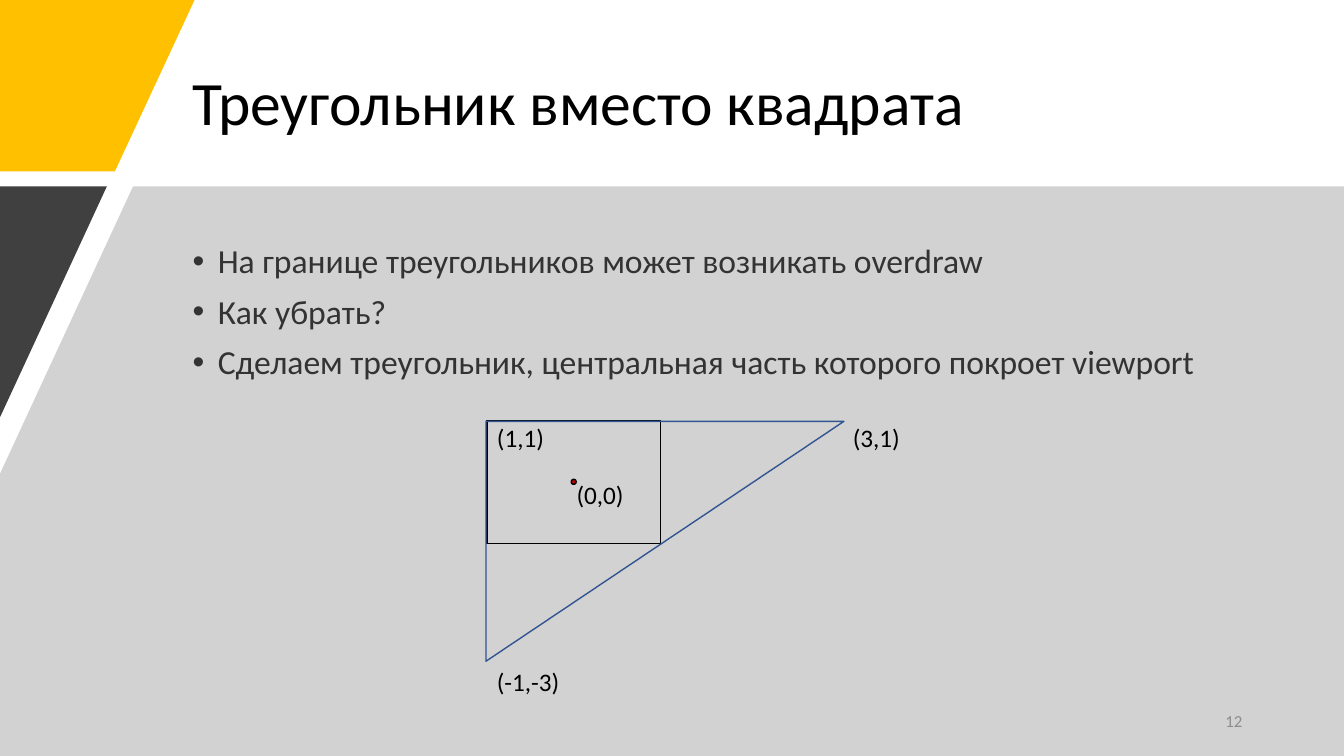
import lxml.etree
import pptx
import pptx.dml.color
import pptx.enum.shapes
import pptx.enum.text
import pptx.oxml.ns
import pptx.util

Inches = pptx.util.Inches
Pt = pptx.util.Pt
SHAPES = pptx.enum.shapes.MSO_SHAPE
ALIGN = pptx.enum.text.PP_ALIGN
ANCHOR = pptx.enum.text.MSO_ANCHOR
AUTO_SIZE = pptx.enum.text.MSO_AUTO_SIZE

WIDTH, HEIGHT = 13.33, 7.5
BAND_TOP = 1.85


def color(hex_text):
    return pptx.dml.color.RGBColor.from_string(hex_text)


def add_element(parent, tag, **attributes):
    element = lxml.etree.SubElement(parent, pptx.oxml.ns.qn(tag))
    for name, value in attributes.items():
        element.set(name, str(value))
    return element


def paint(shape, fill=None, line=None, alpha=None):
    shape.shadow.inherit = False
    if fill:
        shape.fill.solid()
        shape.fill.fore_color.rgb = color(fill)
        if alpha:
            fill_color = shape.fill._xPr.find(".//" + pptx.oxml.ns.qn("a:srgbClr"))
            add_element(fill_color, "a:alpha", val=alpha * 1000)
    else:
        shape.fill.background()
    if line:
        shape.line.color.rgb = color(line)
        shape.line.width = Pt(1)
    else:
        shape.line.fill.background()


def place(shape, box):
    shape.left, shape.top, shape.width, shape.height = map(Inches, box)


def write(shape, *lines, size=18, text_color="000000", align=ALIGN.LEFT,
          anchor=ANCHOR.TOP, wrap=True, line_spacing=None, space_before=0,
          auto_size=AUTO_SIZE.NONE, bullet=False):
    frame = shape.text_frame
    frame.word_wrap = wrap
    frame.auto_size = auto_size
    frame.vertical_anchor = anchor
    for index, line in enumerate(lines):
        paragraph = frame.add_paragraph() if index else frame.paragraphs[0]
        paragraph.alignment = align
        paragraph.line_spacing = line_spacing
        paragraph.space_before = Pt(space_before)
        if bullet:
            properties = paragraph._p.get_or_add_pPr()
            properties.set("marL", str(Inches(0.25)))
            properties.set("indent", str(Inches(-0.25)))
            add_element(properties, "a:buFont", typeface="Arial")
            add_element(properties, "a:buChar", char="•")
        run = paragraph.add_run()
        run.text = line
        run.font.name = "Calibri"
        run.font.size = Pt(size)
        run.font.color.rgb = color(text_color)


def add_polygon(slide, points, **style):
    corners = [(Inches(x), Inches(y)) for x, y in points]
    builder = slide.shapes.build_freeform(*corners[0])
    builder.add_line_segments(corners[1:], close=True)
    paint(builder.convert_to_shape(), **style)


def add_background(slide):
    add_polygon(slide, [(0, 0), (1.93, 0), (1.14, 1.7), (0, 1.7)], fill="FFC000")
    add_polygon(slide, [(1.32, BAND_TOP), (WIDTH, BAND_TOP), (WIDTH, HEIGHT),
                        (0, HEIGHT), (0, 4.7)], fill="A6A6A6", alpha=50)
    add_polygon(slide, [(0, BAND_TOP), (1.06, BAND_TOP), (0, 4.14)], fill="404040")


def add_title(slide, box, text):
    title = slide.shapes.title
    place(title, box)
    write(title, text, size=44, anchor=ANCHOR.MIDDLE, line_spacing=0.9)


def add_bullets(slide, box, lines):
    """Fill the body placeholder and bring it in front of the background."""
    body = slide.placeholders[1]
    slide.shapes._spTree.append(body._element)
    place(body, box)
    write(body, *lines, size=24, text_color="333333", line_spacing=0.9,
          space_before=10, bullet=True)


def add_page_number(slide, box, number):
    text_box = slide.shapes.add_textbox(*map(Inches, box))
    write(text_box, number, size=12, text_color="8C8C8C", align=ALIGN.RIGHT,
          anchor=ANCHOR.MIDDLE)


def add_triangle_diagram(slide, box):
    """Draw a triangle with its right angle at top left, around the viewport."""
    left, top, width, height = box
    shapes = slide.shapes.add_group_shape().shapes

    def add(kind, *bounds, **style):
        shape = shapes.add_shape(kind, *map(Inches, bounds))
        paint(shape, **style)
        return shape

    view_left, view_top = left + 0.01, top - 0.01
    view_width, view_height = 1.72, 1.22
    add(SHAPES.RECTANGLE, view_left, view_top, view_width, view_height,
        line="000000")

    # The quarter turn swaps width and height about the centre.
    shift = (width - height) / 2
    triangle = add(SHAPES.RIGHT_TRIANGLE, left + shift, top - shift,
                   height, width, line="325491")
    triangle.rotation = 90

    dot = 0.05
    center_x, center_y = view_left + view_width / 2, view_top + view_height / 2
    add(SHAPES.OVAL, center_x - dot / 2, center_y - dot / 2, dot, dot,
        fill="C00000", line="000000")

    labels = [
        ("(0,0)", center_x - 0.07, center_y - 0.07, 0.68),
        ("(-1,-3)", view_left, top + height, 0.83),
        ("(1,1)", view_left, view_top - 0.03, 0.68),
        ("(3,1)", left + width - 0.01, view_top - 0.03, 0.68),
    ]
    for text, x, y, label_width in labels:
        label = shapes.add_textbox(*map(Inches, (x, y, label_width, 0.4)))
        write(label, text, wrap=False, auto_size=AUTO_SIZE.SHAPE_TO_FIT_TEXT)


def main():
    presentation = pptx.Presentation()
    presentation.slide_width = Inches(WIDTH)
    presentation.slide_height = Inches(HEIGHT)
    slide = presentation.slides.add_slide(presentation.slide_layouts[1])
    add_background(slide)
    add_title(slide, (1.81, 0.4, 10.24, 1.3), "Треугольник вместо квадрата")
    add_bullets(slide, (1.81, 2.38, 10.24, 4.42), [
        "На границе треугольников может возникать overdraw",
        "Как убрать?",
        "Сделаем треугольник, центральная часть которого покроет viewport",
    ])
    add_page_number(slide, (9.42, 6.95, 3, 0.4), "12")
    add_triangle_diagram(slide, (4.82, 4.18, 3.55, 2.38))
    presentation.save("out.pptx")


if __name__ == "__main__":
    main()
